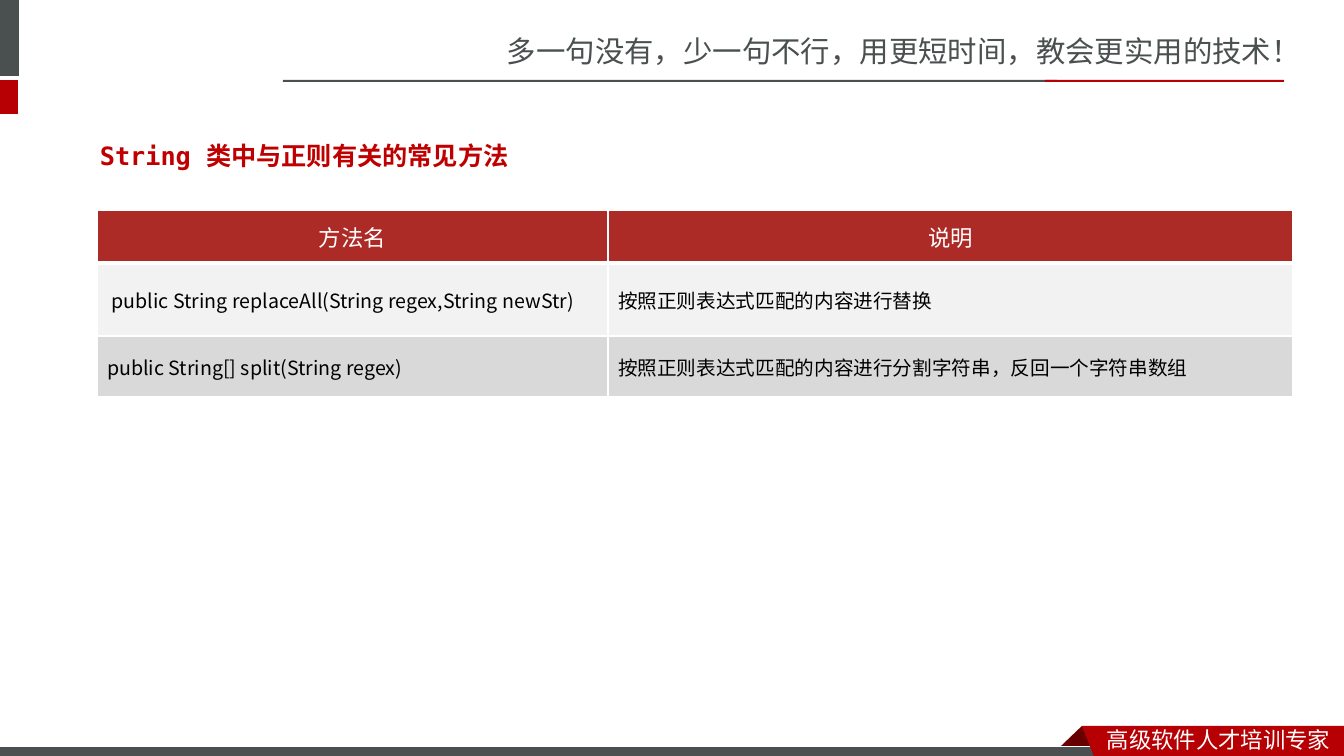
from lxml.etree import SubElement
from pptx import Presentation
from pptx.dml.color import RGBColor
from pptx.enum.shapes import MSO_SHAPE
from pptx.enum.text import MSO_ANCHOR, PP_ALIGN
from pptx.oxml.ns import qn
from pptx.util import Emu, Pt

PX = 914400 / 100.8
GREY, RED, DARK_RED, WHITE = "49504F", "B60004", "680000", "FFFFFF"
SANS, TABLE_FONT, MONO = "Noto Sans CJK SC", "Noto Sans CJK JP", "DejaVu Sans Mono"
color = RGBColor.from_string


def px(*lengths):
    return [Emu(round(length * PX)) for length in lengths]


def write(frame, text, size, hue, font=SANS, asian=SANS, bold=False,
          align=PP_ALIGN.LEFT, spacing=None):
    frame.word_wrap = True
    para = frame.paragraphs[0]
    para.alignment = align
    para.line_spacing = spacing
    span = para.add_run()
    span.text = text
    span.font.size = Pt(size)
    span.font.bold = bold
    span.font.color.rgb = color(hue)
    span.font.name = font
    SubElement(span.font._element, qn("a:ea")).set("typeface", asian)


deck = Presentation()
deck.slide_width, deck.slide_height = px(1344, 756)
page = deck.slides.add_slide(deck.slide_layouts[6])
shapes = page.shapes

# Corner blocks, header rule, ribbon fold, bottom bar and ribbon
outlines = [
    ("rect", (-6, 0, 25, 76), GREY),
    ("rect", (-6, 80, 24, 34), RED),
    ("rect", (283, 80, 774, 2), GREY),
    ("rect", (1045, 80, 239, 2), RED),
    ("free", [(1082, 726), (1104, 748), (1103, 749), (1060, 749), (1059, 748)], DARK_RED),
    ("rect", (-1, 747, 1109, 12), GREY),
    ("free", [(1082, 726), (1344, 726), (1344, 760), (1095, 759)], RED),
]
for kind, geometry, hue in outlines:
    if kind == "rect":
        shape = shapes.add_shape(MSO_SHAPE.RECTANGLE, *px(*geometry))
    else:
        builder = shapes.build_freeform(*geometry[0], scale=PX)
        builder.add_line_segments(geometry[1:], close=True)
        shape = builder.convert_to_shape()
    shape.shadow.inherit = False
    shape.fill.solid()
    shape.fill.fore_color.rgb = color(hue)
    shape.line.fill.background()
    if geometry[-1] == 12:  # the bottom bar alone has an outline
        shape.line.color.rgb = color(WHITE)
        shape.line.width = Pt(0.75)

# Slogan, footer and heading
texts = [
    ((497, 28, 847, 47), "多一句没有，少一句不行，用更短时间，教会更实用的技术！",
     dict(size=21, hue=GREY)),
    ((1097, 721, 247, 37), "高级软件人才培训专家", dict(size=16, hue=WHITE)),
    ((90, 120, 1168, 98), "String 类中与正则有关的常见方法",
     dict(size=18, hue="C00000", font=MONO, bold=True, spacing=1.5)),
]
for place, text, style in texts:
    box = shapes.add_textbox(*px(*place))
    write(box.text_frame, text, **style)

# Table of methods
rows = [
    ("方法名", "说明"),
    (" public String replaceAll(String regex,String newStr)",
     "按照正则表达式匹配的内容进行替换"),
    ("public String[] split(String regex)",
     "按照正则表达式匹配的内容进行分割字符串，反回一个字符串数组"),
]
fills = ["AD2B26", "F2F2F2", "D9D9D9"]
header = dict(size=16, hue=WHITE, align=PP_ALIGN.CENTER, spacing=Pt(24))
body = dict(size=14, hue="000000")
table = shapes.add_table(3, 2, *px(97, 210, 1196, 187)).table
for column, width in zip(table.columns, px(511, 685)):
    column.width = width
for row, height in zip(table.rows, px(53, 73, 61)):
    row.height = height

for r, texts_in_row in enumerate(rows):
    for c, text in enumerate(texts_in_row):
        cell = table.cell(r, c)
        cell.vertical_anchor = MSO_ANCHOR.MIDDLE
        write(cell.text_frame, text, font=TABLE_FONT, asian=TABLE_FONT,
              **(body if r else header))
        # White borders, thicker between header and body; they precede the fill
        properties = cell._tc.get_or_add_tcPr()
        for side in "LRTB":
            thick = (r, side) in [(0, "B"), (1, "T")]
            line = SubElement(properties, qn(f"a:ln{side}"), w=str(Pt(3 if thick else 1)))
            paint = SubElement(line, qn("a:solidFill"))
            SubElement(paint, qn("a:srgbClr"), val=WHITE)
        cell.fill.solid()
        cell.fill.fore_color.rgb = color(fills[r])

deck.save("out.pptx")
